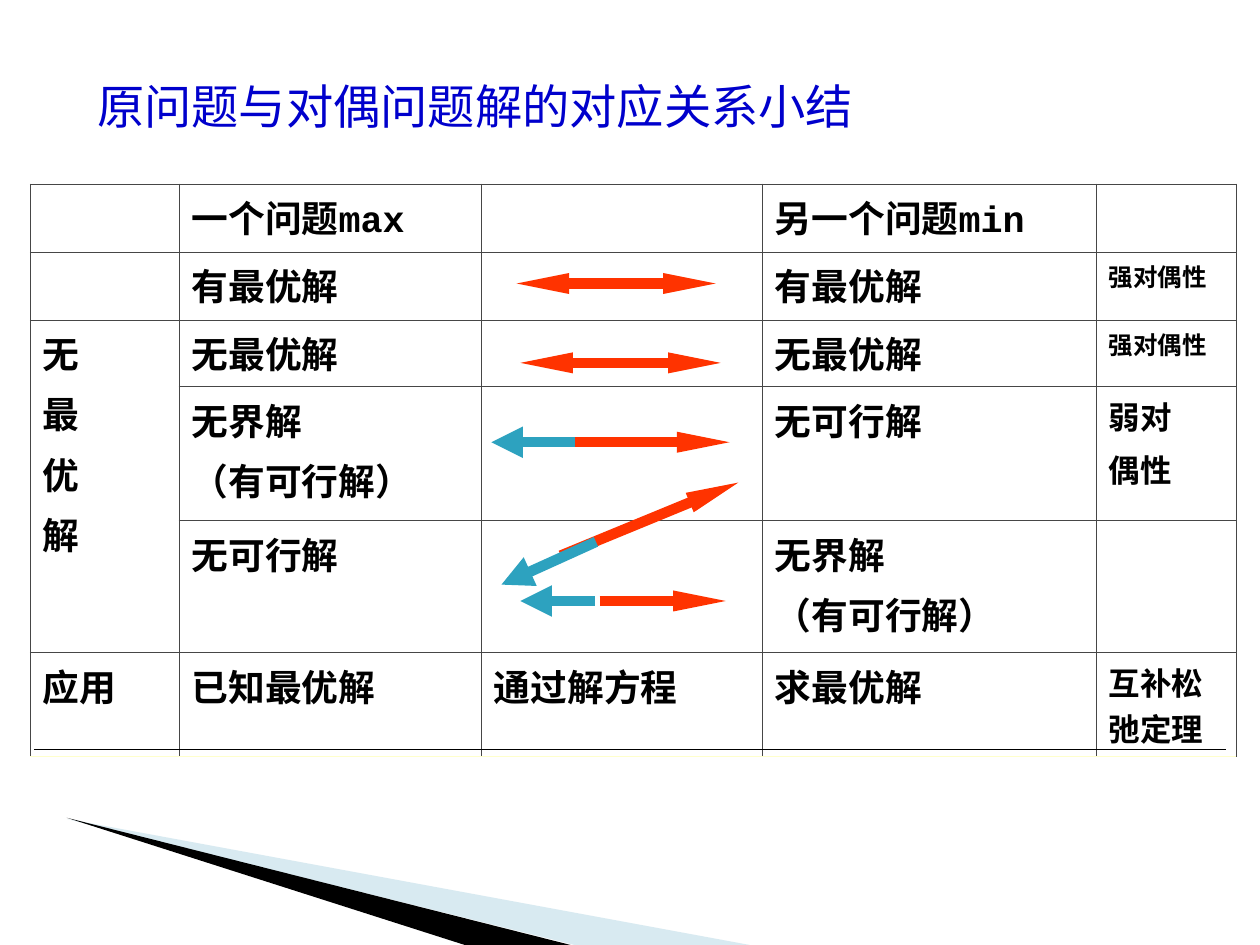
from dataclasses import dataclass

from lxml.etree import SubElement
from pptx import Presentation
from pptx.dml.color import RGBColor
from pptx.enum.shapes import MSO_CONNECTOR as Connector
from pptx.enum.text import MSO_ANCHOR as Anchor, PP_ALIGN as Align
from pptx.oxml.ns import qn
from pptx.util import Inches, Pt

FONT = "Courier New"
RED, TEAL, BLACK, BORDER = "FF3300", "2DA2BF", "000000", "464646"
COLUMNS = 100  # square grid across the slide's width; all places are in its units


@dataclass
class Arrow:
    start: tuple[float, float]
    end: tuple[float, float]
    color: str = RED
    both_ends: bool = False


@dataclass
class Wedge:
    points: list[tuple[float, float]]
    color: str
    opacity: int = 100


WEDGES = [
    Wedge([(5.3, 65), (59.5, 75), (45.6, 75)], "9FCBDC", 40),
    Wedge([(5.3, 64.9), (45.3, 75), (36.9, 75)], BLACK),
]

ARROWS = [
    Arrow((41, 22.5), (56.8, 22.5), both_ends=True),
    Arrow((42.9, 35.1), (57.9, 35.1)),
    Arrow((47.6, 47.7), (57.6, 47.7)),
    Arrow((45.6, 35.1), (39, 35.1), TEAL),
    Arrow((41.3, 28.8), (57.2, 28.8), both_ends=True),
    Arrow((44.5, 44.1), (58.6, 38.3)),
    Arrow((47.3, 43), (39.8, 46.4), TEAL),
    Arrow((47.2, 47.7), (41.3, 47.7), TEAL),
]

COLUMN_WIDTHS = [11.8, 24, 22.3, 26.5, 11.1]
ROW_HEIGHTS = [5.4, 5.4, 5.3, 10.6, 10.5, 8.2]
# A line feed starts a paragraph, a vertical tab only a line
ROWS = [
    ["", "一个问题max", "", "另一个问题min", ""],
    ["", "有最优解", "", "有最优解", "强对偶性"],
    ["无\n最\n优\n解", "无最优解", "", "无最优解", "强对偶性"],
    ["", "无界解\n（有可行解）", "", "无可行解", "弱对\n偶性"],
    ["", "无可行解", "", "无界解\n（有可行解）", ""],
    ["应用", "已知最优解", "通过解方程", "求最优解", "互补松\v弛定理"],
]
NOTE_SIZES = {1: 14, 2: 14, 3: 18, 5: 18}  # last column, by row

presentation = Presentation()
presentation.slide_width, presentation.slide_height = Inches(10), Inches(7.5)


def color(value: str) -> RGBColor:
    return RGBColor.from_string(value)


def units(value: float) -> int:
    return round(presentation.slide_width * value / COLUMNS)


def draw_wedge(slide, wedge: Wedge) -> None:
    first, *others = [(units(x), units(y)) for x, y in wedge.points]
    builder = slide.shapes.build_freeform(*first)
    builder.add_line_segments(others, close=True)
    shape = builder.convert_to_shape()
    shape.shadow.inherit = False
    shape.line.fill.background()
    shape.fill.solid()
    shape.fill.fore_color.rgb = color(wedge.color)
    if wedge.opacity < 100:
        fill_color = shape._element.spPr.find(".//" + qn("a:srgbClr"))
        SubElement(fill_color, qn("a:alpha"), val=str(wedge.opacity * 1000))


def draw_line(slide, start, end, line_color: str, width: float):
    line = slide.shapes.add_connector(Connector.STRAIGHT, *map(units, start + end))
    line.line.color.rgb = color(line_color)
    line.line.width = Pt(width)
    SubElement(line._element.spPr, qn("a:effectLst"))
    return line


def draw_arrow(slide, arrow: Arrow) -> None:
    line = draw_line(slide, arrow.start, arrow.end, arrow.color, 6)
    width, length = ("sm", "lg") if arrow.color == RED else ("med", "med")
    for tag in ["a:headEnd", "a:tailEnd"] if arrow.both_ends else ["a:tailEnd"]:
        SubElement(line.line._get_or_add_ln(), qn(tag),
                   type="triangle", w=width, len=length)


def set_borders(cell, bottom: str) -> None:
    properties = cell._tc.get_or_add_tcPr()
    sides = {"a:lnL": BORDER, "a:lnR": BORDER, "a:lnT": BORDER, "a:lnB": bottom}
    for index, (tag, side_color) in enumerate(sides.items()):
        line = SubElement(properties, qn(tag), w=str(Pt(0.45)))
        fill = SubElement(line, qn("a:solidFill"))
        SubElement(fill, qn("a:srgbClr"), val=side_color)
        properties.insert(index, line)  # borders come before the fill


def fill_cell(cell, text: str, size: int, bottom: str) -> None:
    cell.fill.background()
    set_borders(cell, bottom)
    if not text:
        return
    cell.text = text
    for paragraph in cell.text_frame.paragraphs:
        paragraph.space_before = Pt(4)
        font = paragraph.font
        font.name, font.size, font.bold = FONT, Pt(size), True
        font.color.rgb = color(BLACK)


def draw_table(slide) -> None:
    frame = slide.shapes.add_table(
        len(ROWS), len(COLUMN_WIDTHS), units(2.4), units(14.6),
        units(sum(COLUMN_WIDTHS)), units(sum(ROW_HEIGHTS)))
    table = frame.table
    table.first_row = table.horz_banding = False
    for column, width in zip(table.columns, COLUMN_WIDTHS):
        column.width = units(width)
    for row, height in zip(table.rows, ROW_HEIGHTS):
        row.height = units(height)
    last_row, last_column = len(ROWS) - 1, len(COLUMN_WIDTHS) - 1
    for r, texts in enumerate(ROWS):
        bottom = "FFFFCC" if r == last_row else BORDER
        for c, text in enumerate(texts):
            size = NOTE_SIZES.get(r, 21) if c == last_column else 21
            fill_cell(table.cell(r, c), text, size, bottom)
    table.cell(2, 0).merge(table.cell(4, 0))


def set_title(slide, text: str) -> None:
    title = slide.shapes.title
    title.left, title.top = units(2.7), units(5.2)
    title.width, title.height = units(71.7), units(6.3)
    frame = title.text_frame
    frame.text = text
    frame.margin_left, frame.margin_right = units(5), 0
    frame.vertical_anchor = Anchor.MIDDLE
    paragraph = frame.paragraphs[0]
    paragraph.alignment = Align.LEFT
    paragraph.font.name, paragraph.font.size = FONT, Pt(27)
    paragraph.font.color.rgb = color("0000CC")


def main() -> None:
    slide = presentation.slides.add_slide(presentation.slide_layouts[5])
    set_title(slide, "原问题与对偶问题解的对应关系小结")
    # Corner decoration
    for wedge in WEDGES:
        draw_wedge(slide, wedge)
    # Table of solution pairs, with the implications between them
    draw_table(slide)
    for arrow in ARROWS:
        draw_arrow(slide, arrow)
    # Closing rule
    draw_line(slide, (2.7, 59.5), (97.3, 59.5), BLACK, 0.75)
    presentation.save("out.pptx")


if __name__ == "__main__":
    main()
